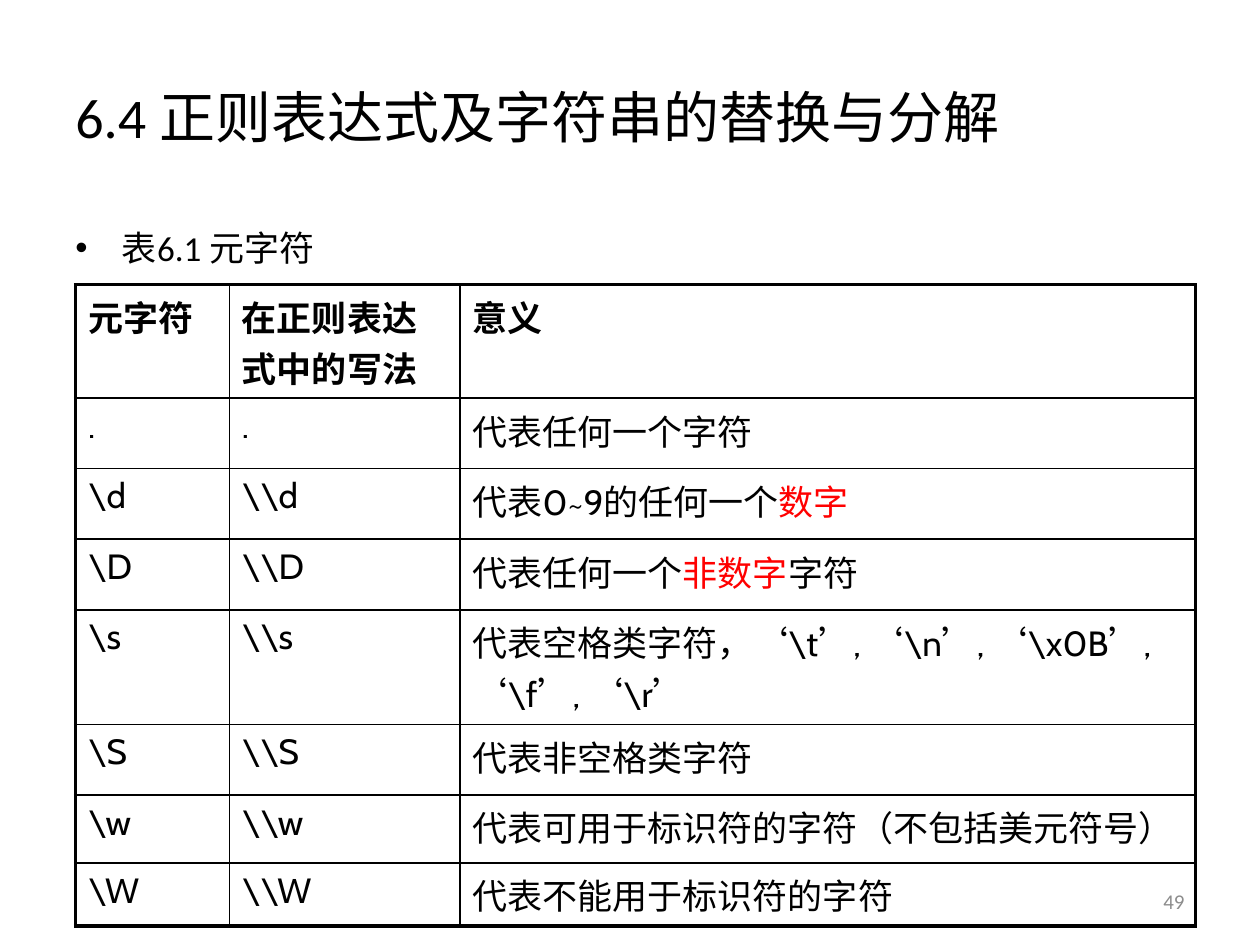
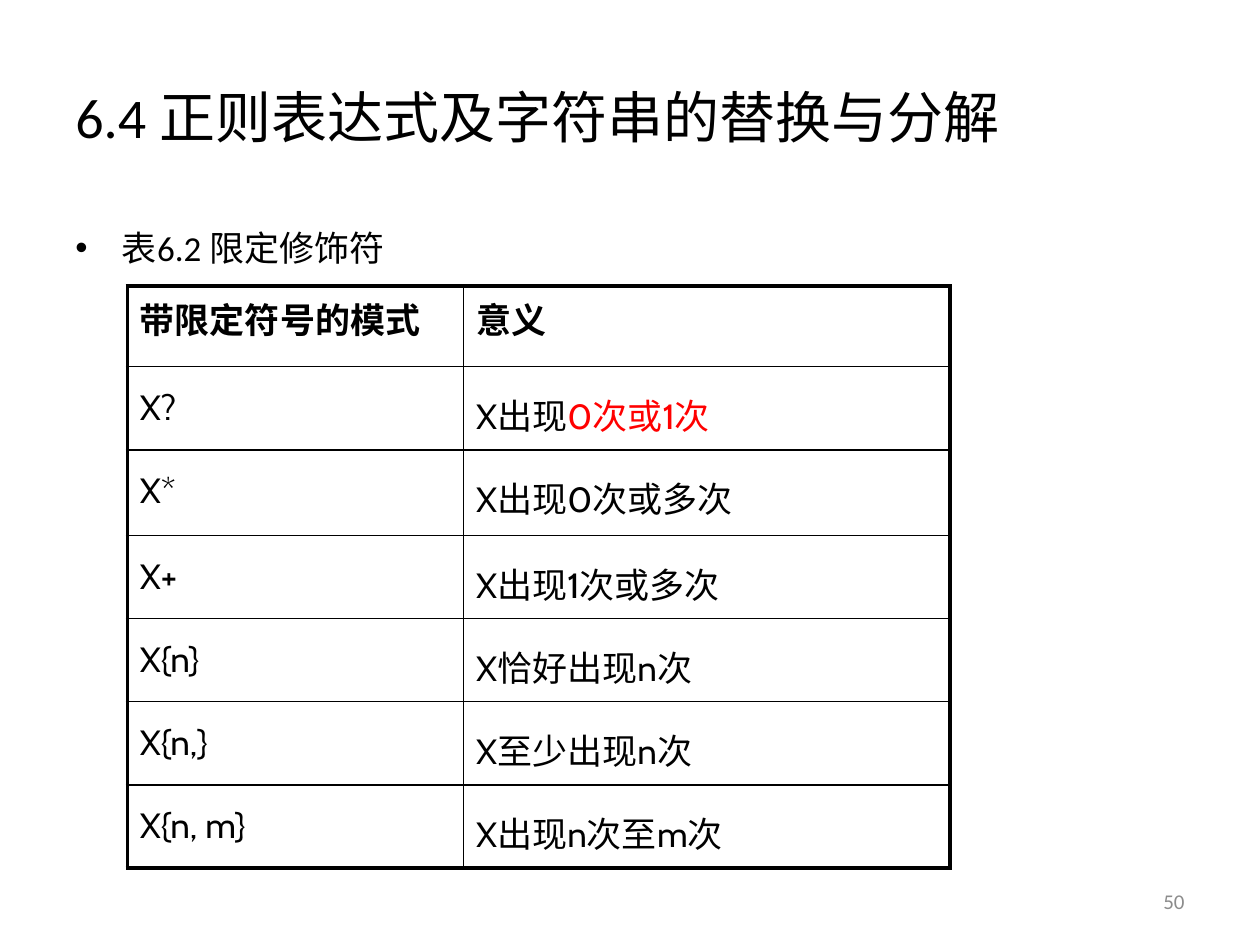
import itertools

import pptx
import pptx.dml.color
import pptx.enum.text
import pptx.oxml.ns
import pptx.util
from lxml import etree

Inches = pptx.util.Inches
COLORS = {"text": "000000", "accent": "FF0000", "number": "8C8C8C"}
TEXT_FONT, TABLE_FONT, QUOTE_FONT = "Calibri", "Cabin", "Arial"
TITLE = "6.4 正则表达式及字符串的替换与分解"
THICK, THIN = 2.25, 1
ANCHOR = pptx.enum.text.MSO_ANCHOR
ALIGN = pptx.enum.text.PP_ALIGN


def write_text(paragraph, text, size=20, font=TEXT_FONT, color="text", bold=False):
    run = paragraph.add_run()
    run.text = text
    run.font.size = pptx.util.Pt(size)
    run.font.name = font
    run.font.bold = bold
    run.font.color.rgb = pptx.dml.color.RGBColor.from_string(COLORS[color])


def add_element(parent, tag, **attributes):
    element = etree.SubElement(parent, pptx.oxml.ns.qn(tag))
    for name, value in attributes.items():
        element.set(name, str(value))
    return element


class Deck:
    def __init__(self):
        self.presentation = pptx.Presentation()
        self.presentation.slide_width = Inches(10)
        self.presentation.slide_height = Inches(7.5)
        self.slide = None

    def add_slide(self, caption):
        """Start a slide with the shared title and a bulleted caption."""
        layout = self.presentation.slide_layouts[6]
        self.slide = self.presentation.slides.add_slide(layout)
        self.add_text(TITLE, 0.5, 0.3, 9, 1.25, anchor=ANCHOR.MIDDLE, size=32)
        self.add_text(caption, 0.5, 1.75, 9, 4.95, bullet=True)

    def add_number(self, number):
        self.add_text(str(number), 7.17, 6.95, 2.33, 0.4, anchor=ANCHOR.MIDDLE,
                      align=ALIGN.RIGHT, size=12, color="number")

    def add_text(self, text, left, top, width, height, anchor=ANCHOR.TOP,
                 align=ALIGN.LEFT, bullet=False, **text_format):
        box = self.slide.shapes.add_textbox(
            Inches(left), Inches(top), Inches(width), Inches(height))
        frame = box.text_frame
        frame.word_wrap = True
        frame.vertical_anchor = anchor
        paragraph = frame.paragraphs[0]
        paragraph.alignment = align
        if bullet:
            properties = paragraph._p.get_or_add_pPr()
            properties.set("marL", str(Inches(0.37)))
            properties.set("indent", str(-Inches(0.37)))
            add_element(properties, "a:buFont", typeface="Arial")
            add_element(properties, "a:buChar", char="•")
        write_text(paragraph, text, **text_format)

    def add_table(self, left, top, widths, heights, rows, end_size=None):
        """Draw a ruled table; end_size sets a closing space in the body cells."""
        table = self.slide.shapes.add_table(
            len(rows), len(widths), Inches(left), Inches(top),
            Inches(sum(widths)), Inches(sum(heights))).table
        table.first_row = table.horz_banding = False
        for column, width in zip(table.columns, widths):
            column.width = Inches(width)
        for row, height in zip(table.rows, heights):
            row.height = Inches(height)
        last_row, last_column = len(rows) - 1, len(widths) - 1
        for i, row in enumerate(rows):
            for j, content in enumerate(row):
                cell = table.cell(i, j)
                self.fill_cell(cell, content, bold=i == 0)
                if end_size and i > 0:
                    write_text(cell.text_frame.paragraphs[0], " ",
                               size=end_size, font=TABLE_FONT)
                self.rule_cell(cell, L=j == 0, R=j == last_column,
                               T=i == 0, B=i == last_row)
                cell.fill.background()

    def fill_cell(self, cell, content, bold):
        """Content is a string, or a list of (text, color) parts."""
        parts = [(content, "text")] if isinstance(content, str) else content
        paragraph = cell.text_frame.paragraphs[0]
        for text, color in parts:
            for quoted, letters in itertools.groupby(text, lambda letter: letter in "‘’"):
                write_text(paragraph, "".join(letters), color=color, bold=bold,
                           font=QUOTE_FONT if quoted else TABLE_FONT)

    def rule_cell(self, cell, **outer_sides):
        properties = cell._tc.get_or_add_tcPr()
        for side, outer in outer_sides.items():
            width = pptx.util.Pt(THICK if outer else THIN)
            line = add_element(properties, f"a:ln{side}", w=int(width))
            fill = add_element(line, "a:solidFill")
            add_element(fill, "a:srgbClr", val=COLORS["text"])


def metacharacter_slide(deck):
    deck.add_slide("表6.1 元字符")
    meanings = {
        ".": "代表任何一个字符",
        r"\d": [("代表0~9的任何一个", "text"), ("数字", "accent")],
        r"\D": [("代表任何一个", "text"), ("非数字", "accent"), ("字符", "text")],
        r"\s": r"代表空格类字符，‘\t’, ‘\n’, ‘\x0B’, ‘\f’, ‘\r’",
        r"\S": "代表非空格类字符",
        r"\w": "代表可用于标识符的字符（不包括美元符号）",
        r"\W": "代表不能用于标识符的字符",
    }
    rows = [("元字符", "在正则表达式中的写法", "意义")]
    # In a string literal each backslash is doubled
    rows += [(symbol, symbol.replace("\\", "\\\\"), meaning)
             for symbol, meaning in meanings.items()]
    one_line, two_lines = 0.555, 0.91
    one_line = 0.56
    heights = [0.9] + [one_line] * 3 + [two_lines, one_line, 0.54, 0.5]
    deck.add_table(0.6, 2.26, [1.22, 1.83, 5.84], heights, rows)
    deck.add_number(49)


def quantifier_slide(deck):
    deck.add_slide("表6.2 限定修饰符")
    rows = [
        ("带限定符号的模式", "意义"),
        ("X?", [("X出现", "text"), ("0次或1次", "accent")]),
        ("X*", "X出现0次或多次"),
        ("X+", "X出现1次或多次"),
        ("X{n}", "X恰好出现n次"),
        ("X{n,}", "X至少出现n次"),
        ("X{n, m}", "X出现n次至m次"),
    ]
    heights = [0.64, 0.66, 0.68] + [0.66] * 4
    deck.add_table(1.01, 2.27, [2.67, 3.86], heights, rows, end_size=28)
    deck.add_number(50)


def main():
    deck = Deck()
    metacharacter_slide(deck)
    quantifier_slide(deck)
    deck.presentation.save("out.pptx")


if __name__ == "__main__":
    main()
